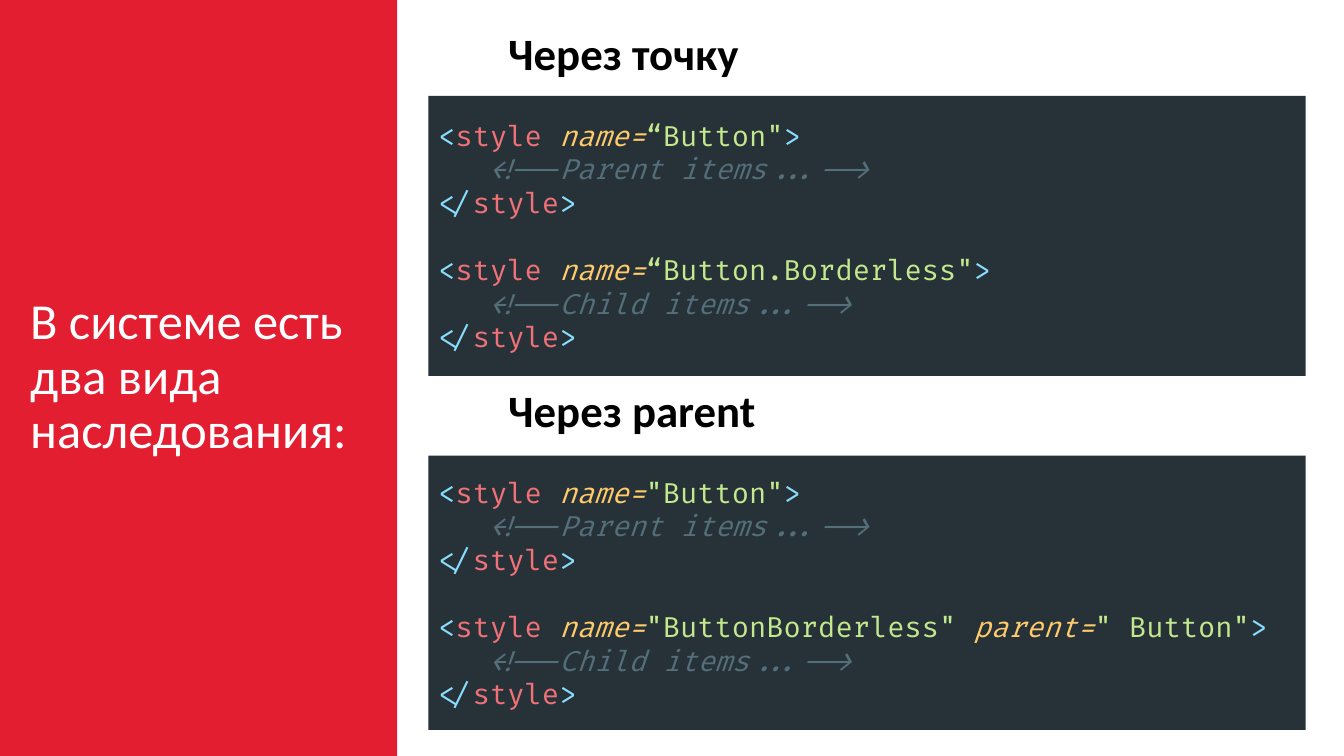
import pptx
import pptx.util
import pptx.dml.color
import pptx.enum.shapes
import pptx.enum.text

Inches, Pt = pptx.util.Inches, pptx.util.Pt
ANCHOR = pptx.enum.text.MSO_ANCHOR


def paint(font, color, size, face="Calibri"):
    font.name, font.size = face, Pt(size)
    font.color.rgb = pptx.dml.color.RGBColor.from_string(color)


def panel(left, top, width, height, fill):
    """Add a plain filled rectangle whose text is left-aligned and centred in height."""
    shape = slide.shapes.add_shape(
        pptx.enum.shapes.MSO_SHAPE.RECTANGLE,
        Inches(left), Inches(top), Inches(width), Inches(height))
    shape.shadow.inherit = False
    shape.fill.solid()
    shape.fill.fore_color.rgb = pptx.dml.color.RGBColor.from_string(fill)
    shape.line.fill.background()
    frame = shape.text_frame
    frame.word_wrap = True
    frame.vertical_anchor = ANCHOR.MIDDLE
    frame.paragraphs[0].alignment = pptx.enum.text.PP_ALIGN.LEFT
    return frame


deck = pptx.Presentation()
deck.slide_width, deck.slide_height = Inches(13.33), Inches(7.5)
slide = deck.slides.add_slide(deck.slide_layouts[6])

# Red title panel
title = panel(0, 0, 3.94, 7.5, "E21E30")
title.margin_left = Inches(0.3)
line = title.paragraphs[0]
line.text = "В системе есть\vдва вида наследования:"
line.line_spacing = 0.9
for run in line.runs:
    paint(run.font, "FFFFFF", 36)

# Code colours
MARK, TAG, NAME, TEXT, NOTE = "89DDFF", "F07178", "FFCB6B", "C3E88D", "546E7A"

# Heading, heading top, code top, code height, then per style: attributes and comment
parts = [
    ("Через точку", 0.2, 0.95, 2.78, [
        ([("name=", "“Button\"")], "<!--Parent items...-->"),
        ([("name=", "“Button.Borderless\"")], "<!--Child items...-->")]),
    ("Через parent", 3.75, 4.52, 2.72, [
        ([("name=", "\"Button\"")], "<!--Parent items...-->"),
        ([("name=", "\"ButtonBorderless\" "), ("parent=", "\" Button\"")],
         "<!--Child items...-->")]),
]

for head, y, top, height, styles in parts:
    box = slide.shapes.add_textbox(Inches(3.94), Inches(y), Inches(5.65), Inches(0.64))
    frame = box.text_frame
    frame.word_wrap = True
    frame.vertical_anchor = ANCHOR.BOTTOM
    frame.margin_left = Inches(1.1)
    line = frame.paragraphs[0]
    line.text = head
    line.line_spacing = 0.9
    paint(line.runs[0].font, "000000", 32)
    line.runs[0].font.bold = True

    code = panel(4.25, top, 8.7, height, "263238")
    for index, (attrs, note) in enumerate(styles):
        if index == 0:
            para = code.paragraphs[0]
        else:
            para = code.add_paragraph()
            para.alignment = pptx.enum.text.PP_ALIGN.LEFT
            para.space_before = Pt(24)
        start = [("<", MARK), ("style ", TAG)]
        for name, value in attrs:
            start += [(name, NAME), (value, TEXT)]
        rows = [start + [(">", MARK)],
                [("   ", MARK), (note, NOTE)],
                [("</", MARK), ("style", TAG), (">", MARK)]]
        for number, row in enumerate(rows):
            if number:
                para.add_line_break()
            for text, color in row:
                run = para.add_run()
                run.text = text
                paint(run.font, color, 20, "Fira Code")
                run.font.italic = color in (NAME, NOTE)

deck.save("out.pptx")
